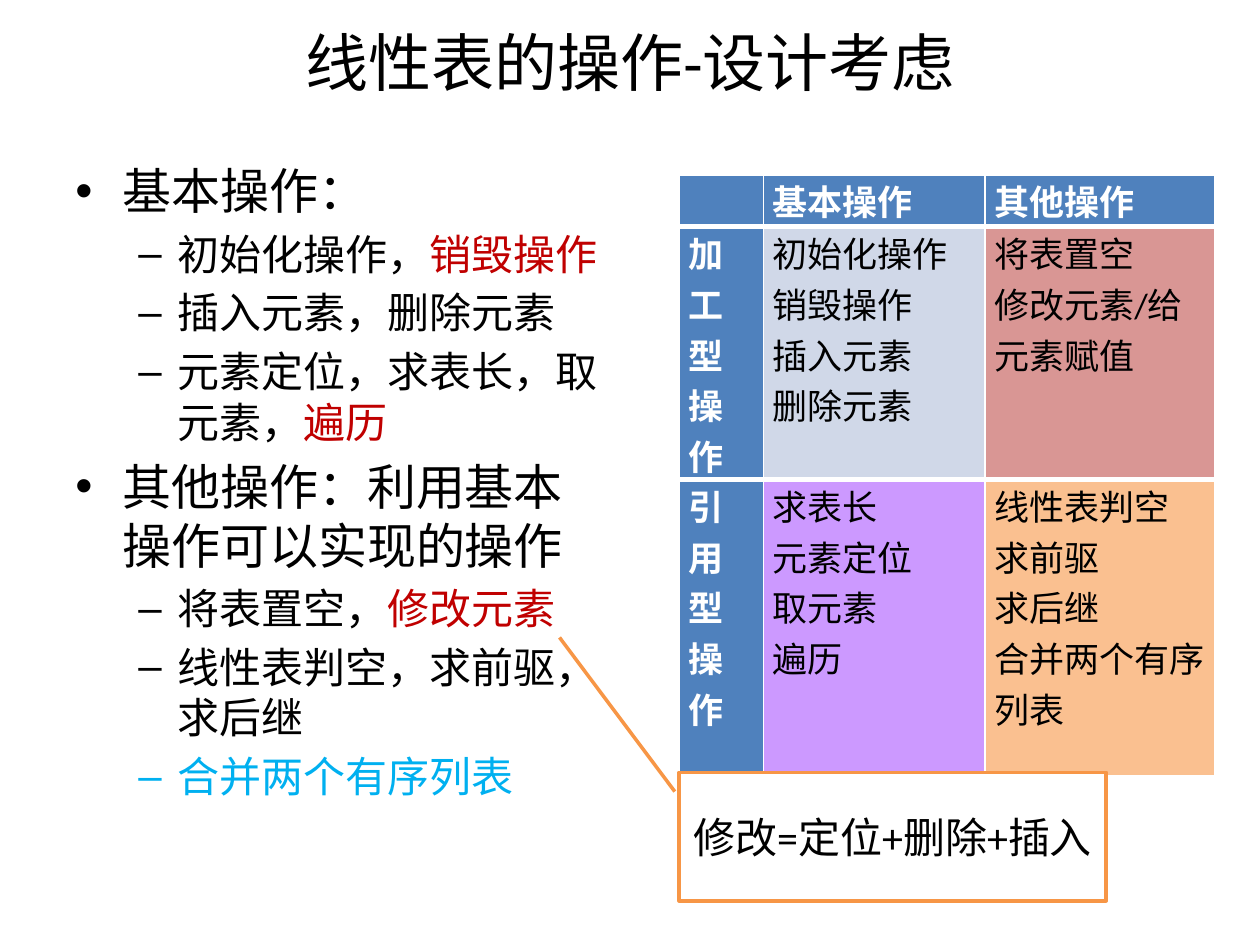
from lxml import etree
from pptx import Presentation
from pptx import util as u
from pptx.dml.color import RGBColor
from pptx.enum import lang, shapes, text
from pptx.oxml.ns import qn

BLACK, WHITE, RED, CYAN = "000000", "FFFFFF", "C00000", "00B0F0"
BLUE, ORANGE = "4F81BD", "F79646"

# bullet, left margin (cm), hanging indent (cm), size (pt), space before (pt)
LEVELS = [("•", 0.95, 0.95, 28, 5.6), ("–", 2.06, 0.79, 24, 4.8)]

OUTLINE = [
    (0, [("基本操作：", BLACK)]),
    (1, [("初始化操作，", BLACK), ("销毁操作", RED)]),
    (1, [("插入元素，删除元素", BLACK)]),
    (1, [("元素定位，求表长，取元素，", BLACK), ("遍历", RED)]),
    (0, [("其他操作：利用基本操作可以实现的操作", BLACK)]),
    (1, [("将表置空，", BLACK), ("修改元素", RED)]),
    (1, [("线性表判空，求前驱，求后继", BLACK)]),
    (1, [("合并两个有序列表", CYAN)]),
]

# each cell: lines of text, fill
OPERATIONS = [
    [([], BLUE), (["基本操作"], BLUE), (["其他操作"], BLUE)],
    [(["加工型操作"], BLUE),
     (["初始化操作", "销毁操作", "插入元素", "删除元素"], "D0D8E8"),
     (["将表置空", "修改元素/给元素赋值"], "D99694")],
    [(["引用型操作"], BLUE),
     (["求表长", "元素定位", "取元素", "遍历"], "CC99FF"),
     (["线性表判空", "求前驱", "求后继", "合并两个有序列表"], "FAC090")],
]


def rgb(value):
    return RGBColor.from_string(value)


def set_attrs(obj, values):
    for name, value in values.items():
        setattr(obj, name, value)


def box(*lengths):
    return [u.Cm(v) for v in lengths]


class Deck:
    """Holds the presentation, its text style and the current slide."""

    font = {"name": "Calibri", "language_id": lang.MSO_LANGUAGE_ID.SIMPLIFIED_CHINESE}

    def __init__(self):
        self.prs = Presentation()
        self.prs.slide_width, self.prs.slide_height = box(25.4, 19.05)
        self.slide = self.prs.slides.add_slide(self.prs.slide_layouts[5])

    def run(self, p, content, size, color=BLACK, bold=False):
        r = p.add_run()
        r.text = content
        set_attrs(r.font, {**self.font, "size": u.Pt(size), "bold": bold})
        r.font.color.rgb = rgb(color)

    def title(self, content, at):
        sp = self.slide.shapes.title
        set_attrs(sp, dict(zip(("left", "top", "width", "height"), box(*at))))
        p = sp.text_frame.paragraphs[0]
        p.alignment = text.PP_ALIGN.CENTER
        self.run(p, content, 36)

    def outline(self, items, at):
        tf = self.slide.shapes.add_textbox(*box(*at)).text_frame
        tf.word_wrap = True
        for i, (level, runs) in enumerate(items):
            bullet, margin, hang, size, before = LEVELS[level]
            p = tf.add_paragraph() if i else tf.paragraphs[0]
            set_attrs(p, {"level": level, "space_before": u.Pt(before)})
            pPr = p._p.get_or_add_pPr()
            pPr.set("marL", str(u.Cm(margin)))
            pPr.set("indent", str(-u.Cm(hang)))
            etree.SubElement(pPr, qn("a:buFont"), typeface="Arial")
            etree.SubElement(pPr, qn("a:buChar"), char=bullet)
            for content, color in runs:
                self.run(p, content, size, color)

    def table(self, rows, at, widths, heights):
        size = box(sum(widths), sum(heights))
        table = self.slide.shapes.add_table(len(rows), len(widths), *box(*at), *size).table
        set_attrs(table, {"first_col": True, "horz_banding": False})
        for column, width in zip(table.columns, widths):
            column.width = u.Cm(width)
        for row, height, cells in zip(table.rows, heights, rows):
            row.height = u.Cm(height)
            for cell, (lines, fill) in zip(row.cells, cells):
                self.cell(cell, lines, fill)
        for cell in table.rows[0].cells:
            self.border(cell, "a:lnB", 3)
        for cell in table.rows[1].cells:
            self.border(cell, "a:lnT", 3)

    def border(self, cell, side, width):
        line = etree.Element(qn(side), w=str(u.Pt(width)))
        fill = etree.SubElement(line, qn("a:solidFill"))
        etree.SubElement(fill, qn("a:srgbClr"), val=WHITE)
        cell._tc.get_or_add_tcPr().insert(0, line)

    def cell(self, cell, lines, fill):
        set_attrs(cell, {"margin_left": u.Cm(0.18), "margin_right": u.Cm(0.18),
                         "margin_top": 0, "margin_bottom": 0})
        cell.fill.solid()
        cell.fill.fore_color.rgb = rgb(fill)
        heading = fill == BLUE
        for i, line in enumerate(lines):
            p = cell.text_frame.add_paragraph() if i else cell.text_frame.paragraphs[0]
            self.run(p, line, 20, WHITE if heading else BLACK, heading)

    def callout(self, content, at, pointer):
        """pointer: y, x of the line's start, then of its end, as shares of the box."""
        sp = self.slide.shapes.add_shape(shapes.MSO_SHAPE.LINE_CALLOUT_1, *box(*at))
        sp.shadow.inherit = False
        for i, value in enumerate(pointer):
            sp.adjustments[i] = value
        sp.fill.solid()
        sp.fill.fore_color.rgb = rgb(WHITE)
        sp.line.color.rgb = rgb(ORANGE)
        sp.line.width = u.Pt(2)
        tf = sp.text_frame
        set_attrs(tf, {"word_wrap": True, "vertical_anchor": text.MSO_ANCHOR.MIDDLE})
        p = tf.paragraphs[0]
        p.alignment = text.PP_ALIGN.CENTER
        self.run(p, content, 24)


def main():
    deck = Deck()
    deck.title("线性表的操作-设计考虑", (1.27, 0.13, 22.86, 2.21))
    deck.outline(OUTLINE, (1.27, 3.12, 11.23, 15.6))
    deck.table(OPERATIONS, (13.69, 3.53), (1.7, 4.47, 4.62), (1.04, 5.1, 5.97))
    deck.callout("修改=定位+删除+插入", (13.69, 15.57, 8.61, 2.59),
                 (0.15, -0.01, -1.05, -0.28))
    deck.prs.save("out.pptx")


if __name__ == "__main__":
    main()
